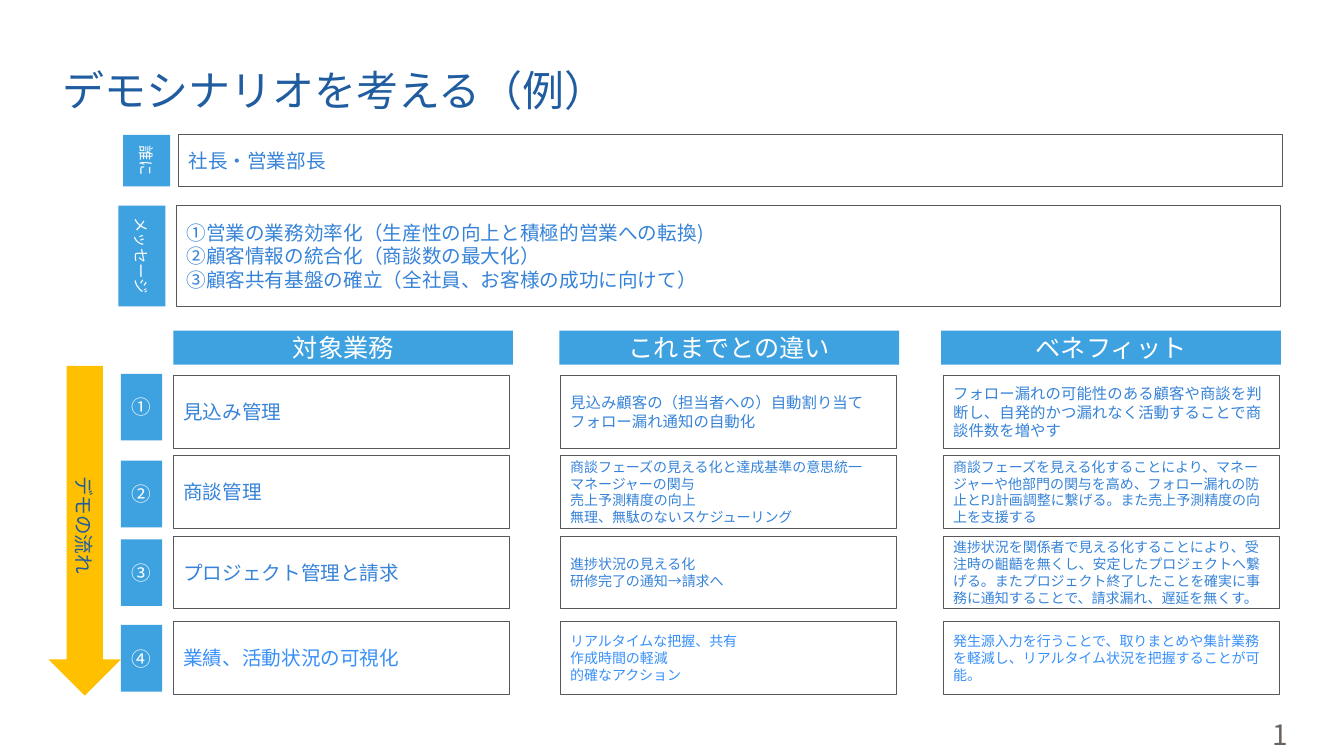
from pptx import Presentation
from pptx.dml.color import RGBColor
from pptx.enum.shapes import MSO_SHAPE
from pptx.enum.text import MSO_ANCHOR, PP_ALIGN
from pptx.oxml.ns import qn
from pptx.util import Cm, Pt
from lxml.etree import SubElement

FONT = "Noto Sans CJK JP"
WHITE = "FFFFFF"
BLUE = "3EA1E0"
NAVY = "205CA0"
BODY = "3683D8"
BRIGHT = "3890F9"
BORDER = "59575C"
YELLOW = "FFC000"
GRAY = "6A625B"

COLUMNS = [(4.37, 4.37, "対象業務"),
           (14.10, 14.12, "これまでとの違い"),
           (23.72, 23.77, "ベネフィット")]

ROWS = [
    (9.47, 9.42, 11, BODY, "①", [
        "見込み管理",
        "見込み顧客の（担当者への）自動割り当て\nフォロー漏れ通知の自動化",
        "フォロー漏れの可能性のある顧客や商談を判断し、自発的かつ漏れなく活動することで商談件数を増やす"]),
    (11.48, 11.61, 10, BODY, "②", [
        "商談管理",
        "商談フェーズの見える化と達成基準の意思統一\nマネージャーの関与\n"
        "売上予測精度の向上\n無理、無駄のないスケジューリング",
        "商談フェーズを見える化することにより、マネージャーや他部門の関与を高め、"
        "フォロー漏れの防止とPJ計画調整に繋げる。また売上予測精度の向上を支援する"]),
    (13.51, 13.59, 10, BODY, "③", [
        "プロジェクト管理と請求",
        "進捗状況の見える化\n研修完了の通知→請求へ",
        "進捗状況を関係者で見える化することにより、受注時の齟齬を無くし、安定したプロジェクトへ繋げる。"
        "またプロジェクト終了したことを確実に事務に通知することで、請求漏れ、遅延を無くす。"]),
    (15.67, 15.75, 10, BRIGHT, "④", [
        "業績、活動状況の可視化",
        "リアルタイムな把握、共有\n作成時間の軽減\n的確なアクション",
        "発生源入力を行うことで、取りまとめや集計業務を軽減し、リアルタイム状況を把握することが可能。"]),
]


def color(value):
    return RGBColor.from_string(value)


def write(shape, text, size, font_color, align, spacing=None, anchor=MSO_ANCHOR.MIDDLE):
    text_frame = shape.text_frame
    text_frame.word_wrap = True
    text_frame.vertical_anchor = anchor
    text_frame.text = text
    for paragraph in text_frame.paragraphs:
        paragraph.alignment = align
        paragraph.line_spacing = spacing
        for run in paragraph.runs:
            run.font.name = FONT
            run.font.size = Pt(size)
            run.font.color.rgb = color(font_color)
            east_asian = SubElement(run.font._element, qn("a:ea"))
            east_asian.set("typeface", FONT)


def add_text(slide, box, text, size, font_color, align=PP_ALIGN.CENTER, **options):
    shape = slide.shapes.add_textbox(*map(Cm, box))
    write(shape, text, size, font_color, align, **options)
    return shape


def add_block(slide, box, fill, kind=MSO_SHAPE.RECTANGLE):
    shape = slide.shapes.add_shape(kind, *map(Cm, box))
    shape.shadow.inherit = False
    shape.fill.solid()
    shape.fill.fore_color.rgb = color(fill)
    shape.line.fill.background()
    return shape


def add_label(slide, box, text, size):
    shape = add_block(slide, box, BLUE)
    write(shape, text, size, WHITE, PP_ALIGN.CENTER)
    return shape


def add_panel(slide, box, text, size, font_color):
    shape = add_block(slide, box, WHITE)
    shape.line.color.rgb = color(BORDER)
    shape.line.width = Pt(0.75)
    write(shape, text, size, font_color, PP_ALIGN.LEFT, Pt(size * 1.2))


def turned(left, top, width, height):
    shift = (width - height) / 2
    return left + shift, top - shift, height, width


def add_title(slide, box):
    shape = add_text(slide, box, "デモシナリオを考える（例）", 30, NAVY, PP_ALIGN.LEFT,
                     spacing=0.95, anchor=MSO_ANCHOR.BOTTOM)
    text_frame = shape.text_frame
    text_frame.margin_left = text_frame.margin_right = 0
    text_frame.margin_top = text_frame.margin_bottom = 0


def add_band(slide, box, panel_offset, label, text):
    left, top, width, height = box
    tab = add_label(slide, turned(left, top, 1.19, height), label, 11)
    tab.rotation = 90
    panel = (left + panel_offset, top, width - panel_offset, height)
    add_panel(slide, panel, text, 14, BODY)


def add_flow_arrow(slide, box):
    left, top, width, height = box
    add_block(slide, box, YELLOW, MSO_SHAPE.DOWN_ARROW)
    text_box = turned(left + 0.46, top + 0.09, 0.91, height - 0.46)
    caption = add_text(slide, text_box, "デモの流れ", 14, NAVY)
    caption.rotation = 90


def add_scenario_grid(slide, badge_left, header_top):
    for header_left, _, header in COLUMNS:
        add_label(slide, (header_left, header_top, 8.56, 0.86), header, 18)
    for top, badge_top, detail_size, font_color, number, texts in ROWS:
        add_label(slide, (badge_left, badge_top, 1.04, 1.68), number, 14)
        sizes = (14, detail_size, detail_size)
        for (_, left, _), text, size in zip(COLUMNS, texts, sizes):
            add_panel(slide, (left, top, 8.48, 1.83), text, size, font_color)


def main():
    presentation = Presentation()
    presentation.slide_width = Cm(33.87)
    presentation.slide_height = Cm(19.05)
    slide = presentation.slides.add_slide(presentation.slide_layouts[6])

    add_text(slide, (30.78, 18.16, 2.97, 0.71), "1", 20, GRAY)
    add_title(slide, (1.57, 0.18, 30.68, 2.74))
    add_scenario_grid(slide, 3.05, 8.33)
    add_flow_arrow(slide, (1.22, 9.22, 1.83, 8.31))
    add_band(slide, (2.98, 5.18, 29.28, 2.54), 1.47, "メッセージ",
             "①営業の業務効率化（生産性の向上と積極的営業への転換)\n"
             "②顧客情報の統合化（商談数の最大化）\n"
             "③顧客共有基盤の確立（全社員、お客様の成功に向けて）")
    add_band(slide, (3.10, 3.40, 29.21, 1.30), 1.40, "誰に", "社長・営業部長")

    presentation.save("out.pptx")


if __name__ == "__main__":
    main()
